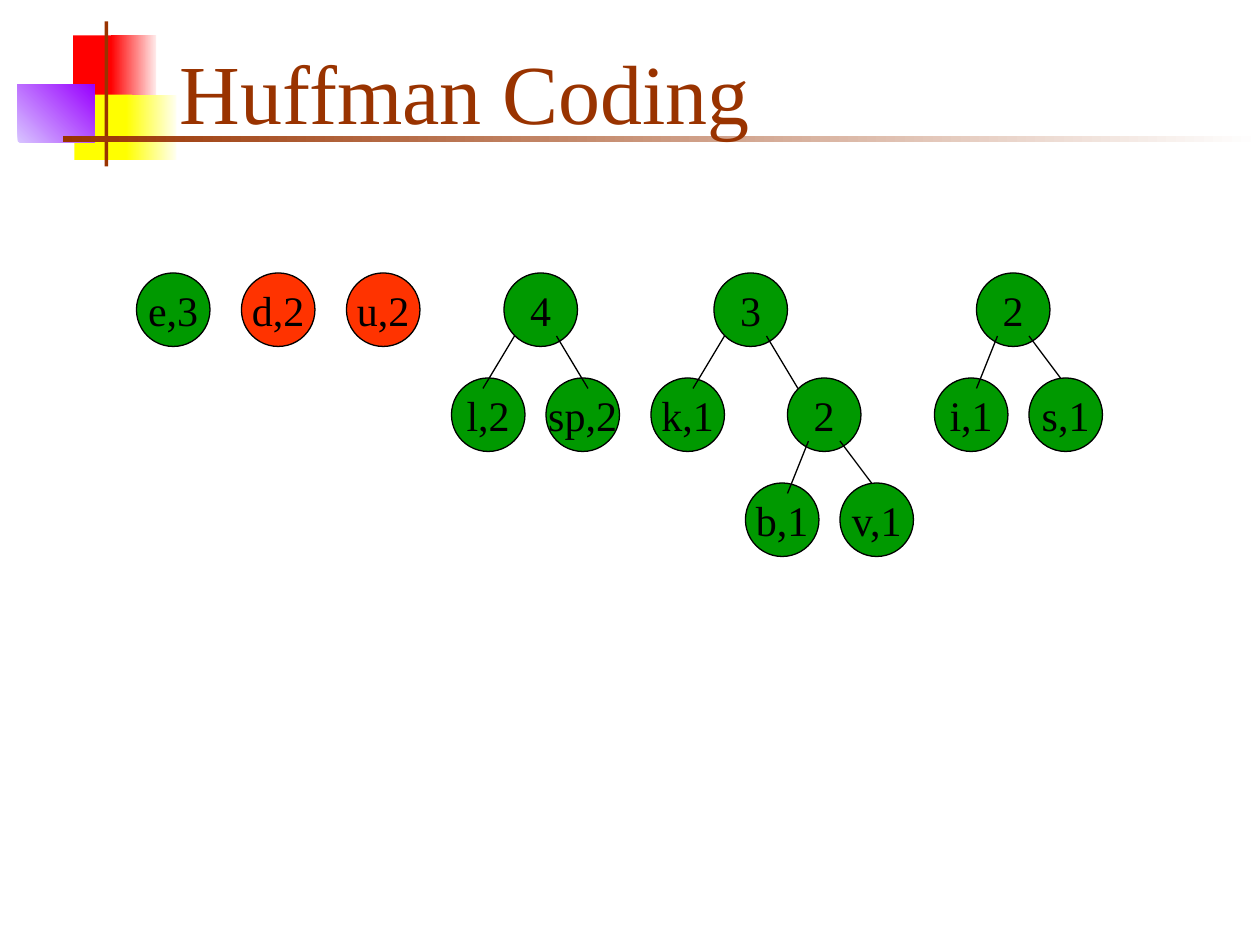
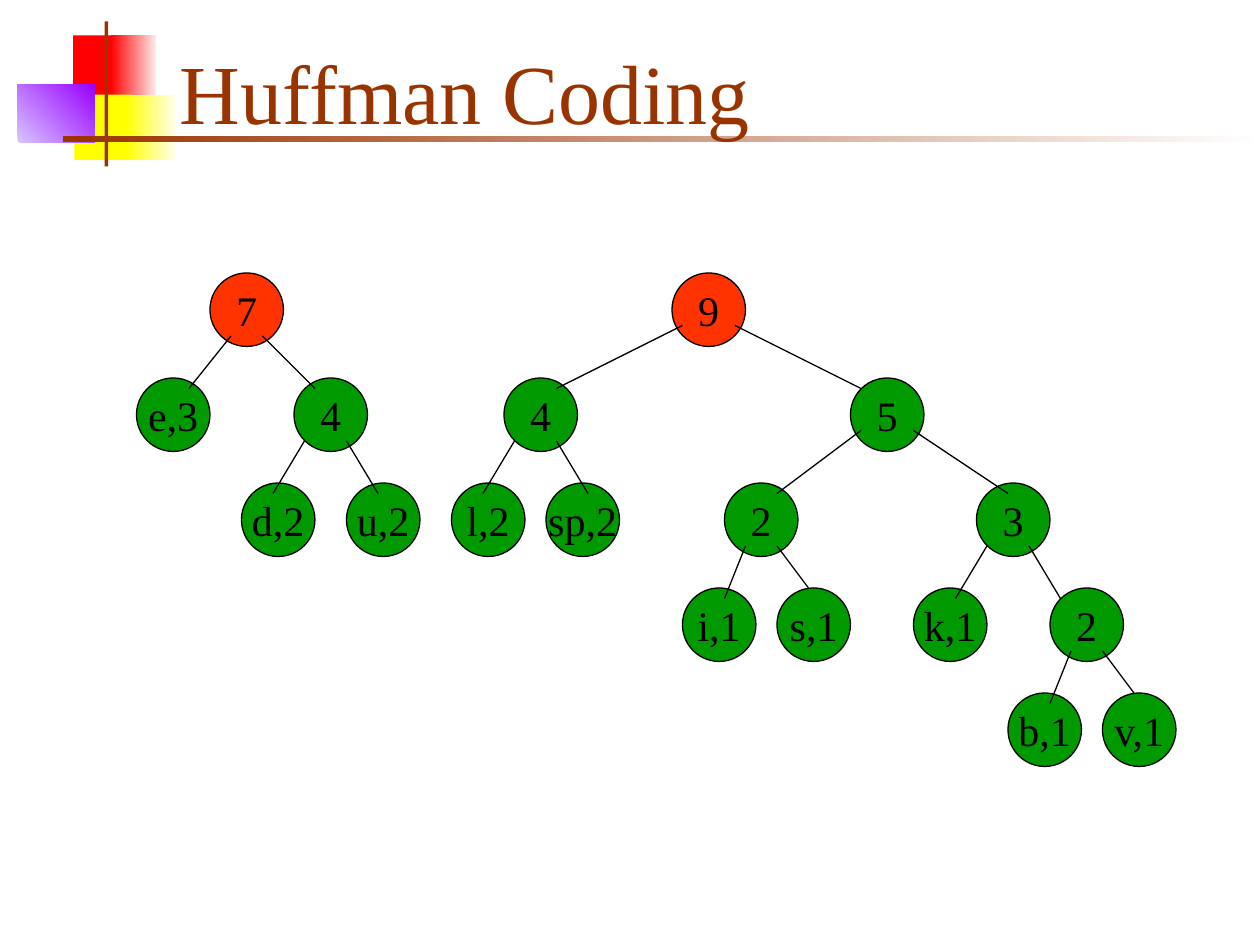
from dataclasses import dataclass

from lxml.etree import SubElement
from pptx import Presentation
from pptx.dml.color import RGBColor
from pptx.enum.shapes import MSO_CONNECTOR as Connector, MSO_SHAPE as Shape
from pptx.enum.text import MSO_ANCHOR as Anchor, PP_ALIGN as Align
from pptx.oxml.ns import qn
from pptx.util import Inches, Pt

# Edge start and end for the left and right branch, in cells from the parent's corner
NARROW = ((2, 6, 0, 11), (5, 6, 8, 10))
MEDIUM = ((1, 6, -2, 11), (5, 6, 8, 11))
SPREAD = ((2, 6, -2, 11), (5, 6, 10, 11))
WIDE = ((1, 5, -7, 11), (6, 5, 15, 11))
WIDEST = ((1, 5, -11, 11), (6, 5, 18, 11))


@dataclass
class Node:
    """A weight in the tree; each branch is (columns from this node, child)."""
    label: str
    edges: tuple = ()
    branches: tuple = ()


E, D, U = Node("e,3"), Node("d,2"), Node("u,2")
L_SP = Node("4", MEDIUM, ((-5, Node("l,2")), (4, Node("sp,2"))))
B_V = Node("2", NARROW, ((-4, Node("b,1")), (5, Node("v,1"))))
K_BV = Node("3", MEDIUM, ((-6, Node("k,1")), (7, B_V)))
I_S = Node("2", NARROW, ((-4, Node("i,1")), (5, Node("s,1"))))
D_U = Node("4", MEDIUM, ((-5, D), (5, U)))
IS_KBV = Node("5", WIDE, ((-12, I_S), (12, K_BV)))
E_DU = Node("7", SPREAD, ((-7, E), (8, D_U)))
RIGHT_HALF = Node("9", WIDEST, ((-16, L_SP), (17, IS_KBV)))

TITLE = "Huffman Coding"
STEPS = [  # root column and tree, then the highlighted labels
    ([(13, E), (23, D), (33, U), (48, L_SP), (68, K_BV), (93, I_S)], {"d,2", "u,2"}),
    ([(20, E_DU), (64, RIGHT_HALF)], {"7", "9"}),
]

FONT = "Times New Roman"
BROWN, BLACK, GREEN, ORANGE = "993300", "000000", "009900", "FF3300"
BAND = [  # left, top, width, height in inches; one colour or two; gradient angle
    (0.58, 0.28, 0.35, 0.52, ["FF0000"], 0),
    (0.88, 0.28, 0.36, 0.52, ["FF0000", "FFEAEA"], 0),
    (0.59, 0.75, 0.46, 0.52, ["FFFF00"], 0),
    (1.00, 0.75, 0.40, 0.52, ["FFFF00", "FFFFF0"], 0),
    (0.14, 0.67, 0.61, 0.46, ["D8C4FF", "9900FF"], 45),
    (0.83, 0.17, 0.03, 1.15, [BROWN], 0),
    (0.50, 1.08, 9.50, 0.05, [BROWN, "FFFFFF"], 0),
]

CELLS_PER_INCH = 12
NODE_SIZE, LEVEL_STEP, ROOT_ROW = 7, 10, 26


def color(hex_value):
    return RGBColor.from_string(hex_value)


def cells(*counts):
    return [Inches(count / CELLS_PER_INCH) for count in counts]


def write(frame, text, size, hex_value, align, **layout):
    for setting, value in layout.items():
        setattr(frame, setting, value)
    paragraph = frame.paragraphs[0]
    paragraph.text, paragraph.alignment = text, align
    font = paragraph.runs[0].font
    for setting, value in {"name": FONT, "size": Pt(size)}.items():
        setattr(font, setting, value)
    font.color.rgb = color(hex_value)


def add_filled(slide, preset, box, hex_values, angle=0):
    """Add a shape without outline, filled with one colour or a gradient of two."""
    shape = slide.shapes.add_shape(preset, *box)
    shape.shadow.inherit = False
    shape.line.fill.background()
    if len(hex_values) == 1:
        shape.fill.solid()
        shape.fill.fore_color.rgb = color(hex_values[0])
    else:
        shape.fill.gradient()
        shape.fill.gradient_angle = angle
        for stop, hex_value in zip(shape.fill.gradient_stops, hex_values):
            stop.color.rgb = color(hex_value)
    return shape


def outline(line):
    line.color.rgb = color(BLACK)
    line.width = Pt(0.75)


def add_edge(slide, start, end):
    edge = slide.shapes.add_connector(Connector.STRAIGHT, *cells(*start, *end))
    outline(edge.line)
    SubElement(edge._element.spPr, qn("a:effectLst"))


def add_tree(slide, node, column, row, highlighted):
    for offset, child in node.branches:
        add_tree(slide, child, column + offset, row + LEVEL_STEP, highlighted)
    fill = ORANGE if node.label in highlighted else GREEN
    box = cells(column, row, NODE_SIZE, NODE_SIZE)
    circle = add_filled(slide, Shape.OVAL, box, [fill])
    outline(circle.line)
    write(circle.text_frame, node.label, 24, BLACK, Align.CENTER,
          word_wrap=False, vertical_anchor=Anchor.MIDDLE)
    for x1, y1, x2, y2 in node.edges:
        add_edge(slide, (column + x1, row + y1), (column + x2, row + y2))


def add_header(slide):
    for *box, hex_values, angle in BAND:
        add_filled(slide, Shape.RECTANGLE, map(Inches, box), hex_values, angle)
    title = slide.shapes.add_textbox(*map(Inches, (1.33, 0.25, 8.52, 0.92)))
    write(title.text_frame, TITLE, 48, BROWN, Align.LEFT,
          word_wrap=True, vertical_anchor=Anchor.BOTTOM)


def main():
    deck = Presentation()
    deck.slide_width, deck.slide_height = Inches(10), Inches(7.5)
    for trees, highlighted in STEPS:
        slide = deck.slides.add_slide(deck.slide_layouts[6])
        add_header(slide)
        for column, root in trees:
            add_tree(slide, root, column, ROOT_ROW, highlighted)
    deck.save("out.pptx")


if __name__ == "__main__":
    main()
